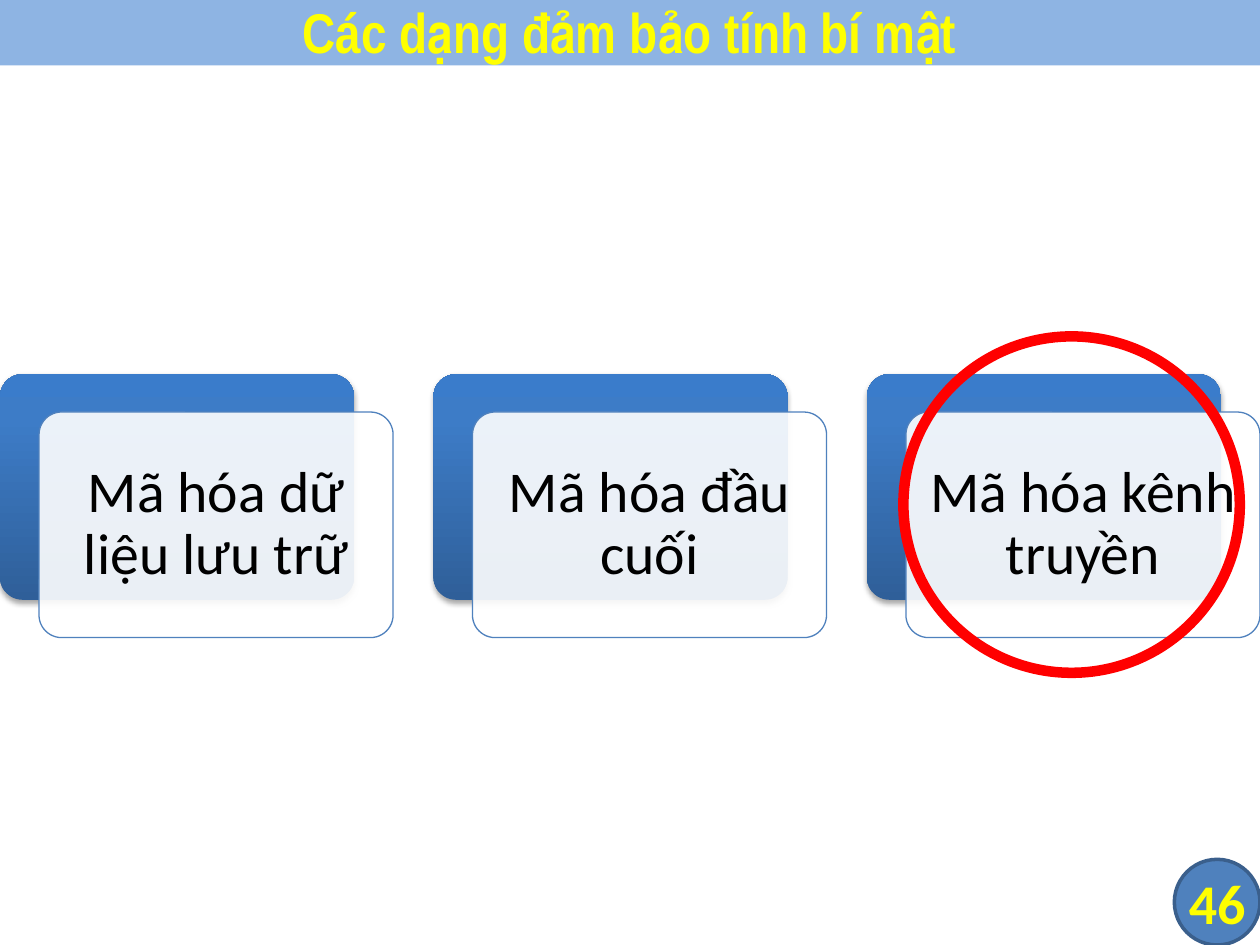
"""Build a slide of three stacked cards, the last of them ringed."""
from dataclasses import dataclass

from lxml import etree
from pptx import Presentation
from pptx.dml.color import RGBColor
from pptx.enum.shapes import MSO_SHAPE
from pptx.enum.text import MSO_ANCHOR, MSO_AUTO_SIZE, PP_ALIGN
from pptx.oxml import parse_xml
from pptx.oxml.ns import qn
from pptx.shapes.autoshape import Shape
from pptx.slide import Slide
from pptx.util import Inches, Pt

ROUND = MSO_SHAPE.ROUNDED_RECTANGLE
OVAL = MSO_SHAPE.OVAL
DISC = MSO_SHAPE.FLOWCHART_CONNECTOR
MIDDLE = MSO_ANCHOR.MIDDLE
CENTER = PP_ALIGN.CENTER
FIXED = MSO_AUTO_SIZE.NONE

BLACK = RGBColor(0, 0, 0)
WHITE = RGBColor(255, 255, 255)
YELLOW = RGBColor(255, 255, 0)
RED = RGBColor(255, 0, 0)
BLUE = RGBColor(0x4F, 0x81, 0xBD)
NAVY = RGBColor(0x3A, 0x5F, 0x8C)
SKY = RGBColor(0x8E, 0xB4, 0xE3)
RAMP = ((0, "2F5F99"), (80, "3D7CC7"), (100, "3A7CCB"))

WIDE, HIGH = 10, 7.5
STEP = 3.44
SHIFT = 0.31, 0.3
PAD = 0.05
NS = 'xmlns:a="http://schemas.openxmlformats.org/drawingml/2006/main"'


@dataclass(frozen=True)
class Box:
    """A place on the slide in inches."""
    left: float
    top: float
    width: float
    height: float

    def move(self, right: float, down: float) -> "Box":
        """Return the box moved by an offset."""
        return Box(self.left + right, self.top + down, self.width, self.height)

    def inset(self, gap: float) -> "Box":
        """Return the box shrunk on every side."""
        return Box(self.left + gap, self.top + gap,
                   self.width - 2 * gap, self.height - 2 * gap)

    def emu(self) -> tuple:
        """Return the four lengths for python-pptx."""
        return tuple(Inches(n) for n in (self.left, self.top, self.width, self.height))


@dataclass(frozen=True)
class Style:
    """The look of a run of text."""
    font: str
    size: float
    color: RGBColor
    bold: bool = False


CARD = Box(0, 2.97, 2.81, 1.79)
BADGE = Box(WIDE - 0.68, HIGH - 0.68, 0.68, 0.68)
RING = Box(7.17, 2.67, 2.67, 2.67)
BAND = Box(0, -0.03, WIDE, 0.55)

HEAD = Style("Arial Narrow", 32, YELLOW, True)
LABEL = Style("Calibri", 33, BLACK)
PAGE = Style("Calibri", 32, YELLOW, True)
CARDS = ("Mã hóa dữ liệu lưu trữ", "Mã hóa đầu cuối", "Mã hóa kênh truyền")


def write(shape: Shape, text: str, style: Style) -> None:
    """Set centred text and format its run."""
    frame = shape.text_frame
    frame.text = text
    frame.word_wrap = True
    frame.auto_size = FIXED
    frame.vertical_anchor = MIDDLE
    line = frame.paragraphs[0]
    line.alignment = CENTER
    font = line.runs[0].font
    font.name, font.size, font.bold = style.font, Pt(style.size), style.bold
    font.color.rgb = style.color


def add_text(slide: Slide, box: Box, text: str, style: Style, pad: float) -> Shape:
    """Add a text box with even margins."""
    shape = slide.shapes.add_textbox(*box.emu())
    write(shape, text, style)
    frame = shape.text_frame
    frame.margin_left = frame.margin_right = Inches(pad)
    frame.margin_top = frame.margin_bottom = Inches(pad)
    return shape


def add_form(slide: Slide, kind: int, box: Box, fill: RGBColor | None,
             line: RGBColor | None, width: float = 0) -> Shape:
    """Add a flat preset shape."""
    shape = slide.shapes.add_shape(kind, *box.emu())
    shape.shadow.inherit = False
    if kind == ROUND:
        shape.adjustments[0] = 0.1
    if fill is None:
        shape.fill.background()
    else:
        shape.fill.solid()
        shape.fill.fore_color.rgb = fill
    if line is None:
        shape.line.fill.background()
    else:
        shape.line.color.rgb = line
        shape.line.width = Pt(width)
    return shape


def shade(shape: Shape) -> None:
    """Give a shape the blue ramp and a soft shadow."""
    props = shape.fill._xPr
    stops = "".join(f'<a:gs pos="{pos * 1000}"><a:srgbClr val="{tone}"/></a:gs>'
                    for pos, tone in RAMP)
    ramp = parse_xml(f'<a:gradFill {NS} rotWithShape="1"><a:gsLst>{stops}</a:gsLst>'
                     '<a:lin ang="16200000" scaled="0"/></a:gradFill>')
    props.replace(props.find(qn("a:solidFill")), ramp)
    glow = parse_xml(f'<a:outerShdw {NS} blurRad="{Pt(3.1)}" dist="{Pt(1.8)}" '
                     'dir="5400000" rotWithShape="0"><a:srgbClr val="000000">'
                     '<a:alpha val="35000"/></a:srgbClr></a:outerShdw>')
    props.find(qn("a:effectLst")).append(glow)


def add_card(slide: Slide, box: Box, text: str) -> None:
    """Add a shaded back, a sheer front and its label."""
    shade(add_form(slide, ROUND, box, BLUE, None))
    front = box.move(*SHIFT)
    sheet = add_form(slide, ROUND, front, WHITE, BLUE, 0.75)
    tone = sheet.fill._xPr.find(qn("a:solidFill"))[0]
    etree.SubElement(tone, qn("a:alpha")).set("val", "90000")
    label = add_text(slide, front.inset(PAD), text, LABEL, 0.14)
    label.text_frame.paragraphs[0].line_spacing = 0.9


def main() -> None:
    """Build and save the deck."""
    deck = Presentation()
    deck.slide_width, deck.slide_height = Inches(WIDE), Inches(HIGH)
    slide = deck.slides.add_slide(deck.slide_layouts[5])
    add_form(slide, DISC, BADGE, BLUE, NAVY, 2)
    for col, text in enumerate(CARDS):
        add_card(slide, CARD.move(col * STEP, 0), text)
    title = slide.shapes.title
    title.left, title.top, title.width, title.height = BAND.emu()
    title.fill.solid()
    title.fill.fore_color.rgb = SKY
    write(title, "Các dạng đảm bảo tính bí mật", HEAD)
    add_text(slide, BADGE, "46", PAGE, 0)
    add_form(slide, OVAL, RING, None, RED, 6)
    deck.save("out.pptx")


if __name__ == "__main__":
    main()
